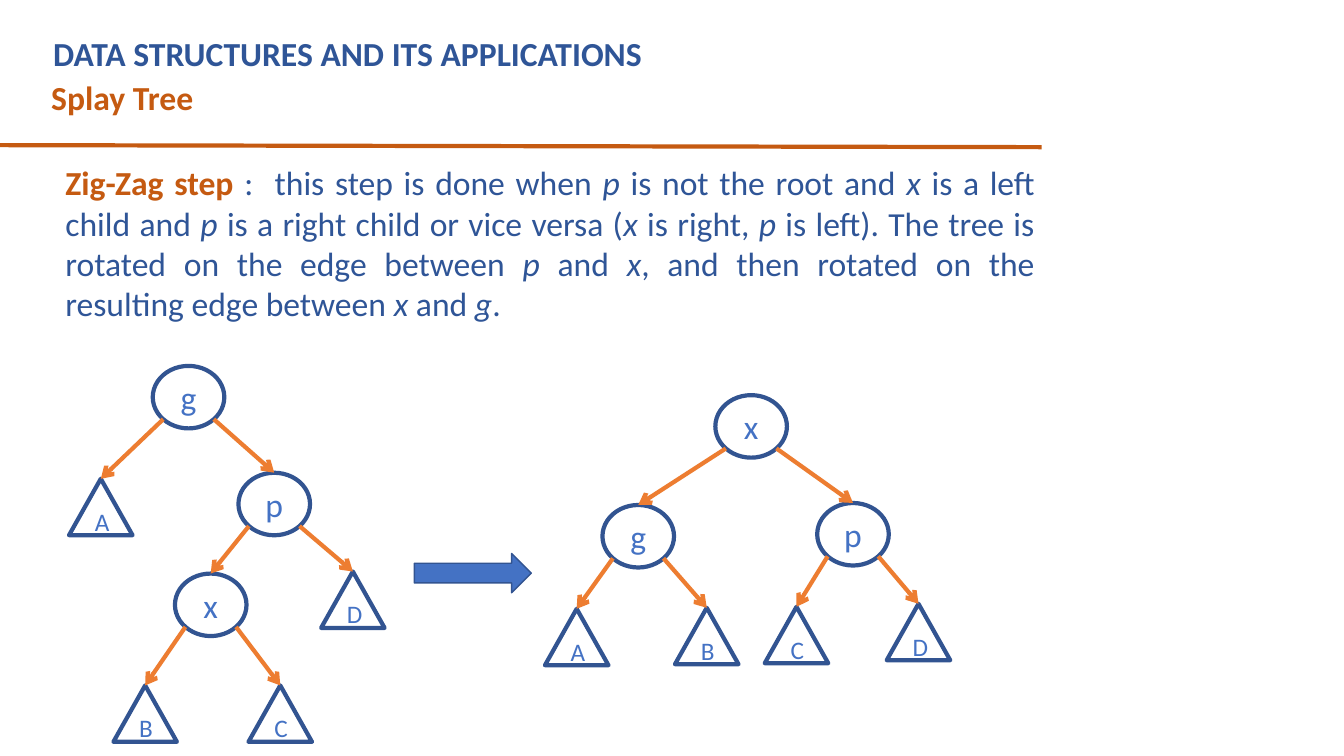
"""Build the splay tree zig-zag step slide."""
from lxml import etree
from pptx import Presentation
from pptx import util as u
from pptx.dml.color import RGBColor
from pptx.enum import shapes, text
from pptx.oxml.ns import qn

W, H = 13.33, 7.5
FONT = "Calibri"
COLORS = {"navy": "2F5597", "rust": "C55A11", "outline": "325491",
          "blue": "4472C4", "orange": "ED7D31"}

HEADINGS = [
    ("DATA STRUCTURES AND ITS APPLICATIONS", "navy", (0.43, 0.28, 8.2, 0.5)),
    ("Splay Tree", "rust", (0.41, 0.71, 8.75, 0.5)),
]
STEP_BOX = (0.55, 1.6, 9.81, 1.62)
STEP_NAME = "Zig-Zag step "
STEP_TEXT = [
    ":  this step is done when ", "p", " is not the root and ", "x",
    " is a left child and ", "p", " is a right child or vice versa (", "x",
    " is right, ", "p", " is left). The tree is rotated on the edge between ",
    "p", " and ", "x", ", and then rotated on the resulting edge between ",
    "x", " and ", "g", ".",
]
RULE = (-0.01, 1.44, 10.33, 1.46)
ROTATE_ARROW = (4.11, 5.49, 1.16, 0.39)

# Each node is (label, centre x, top, children).
BEFORE = ("g", 1.87, 3.63, [
    ("A", 1.0, 4.75, []),
    ("p", 2.72, 4.69, [
        ("x", 2.09, 5.69, [("B", 1.44, 6.8, []), ("C", 2.78, 6.8, [])]),
        ("D", 3.5, 5.67, [])])])
AFTER = ("x", 7.45, 3.92, [
    ("g", 6.33, 5.01, [("A", 5.72, 6.04, []), ("B", 7.01, 6.03, [])]),
    ("p", 8.46, 4.99, [("C", 7.9, 6.02, []), ("D", 9.11, 5.99, [])])])
NODE = (shapes.MSO_SHAPE.OVAL, 0.71, 0.62, 24)
LEAF = (shapes.MSO_SHAPE.ISOSCELES_TRIANGLE, 0.63, 0.56, 18)
DIAGONAL = 0.5 ** 0.5


def inches(values):
    return [u.Inches(v) for v in values]


def rgb(name):
    return RGBColor.from_string(COLORS[name])


def style_run(r, color, size=24, bold=False, italic=False):
    r.font.name, r.font.size = FONT, u.Pt(size)
    r.font.bold, r.font.italic = bold, italic
    r.font.color.rgb = rgb(color)


def add_text_box(parent, box):
    tf = parent.add_textbox(*inches(box)).text_frame
    tf.word_wrap = True
    tf.auto_size = text.MSO_AUTO_SIZE.SHAPE_TO_FIT_TEXT
    return tf


def add_line(parent, ends, color, arrow=False):
    line = parent.add_connector(shapes.MSO_CONNECTOR.STRAIGHT, *inches(ends))
    line.line.color.rgb = rgb(color)
    line.line.width = u.Pt(3)
    if arrow:
        etree.SubElement(line.line._get_or_add_ln(), qn("a:tailEnd"), type="arrow")
    etree.SubElement(line._element.spPr, qn("a:effectLst"))
    return line


def add_tree(parent, tree):
    label, cx, top, children = tree
    kind, width, height, size = NODE if children else LEAF
    sp = parent.add_shape(kind, *inches((cx - width / 2, top, width, height)))
    sp.shadow.inherit = False
    sp.fill.background()
    sp.line.color.rgb = rgb("outline")
    sp.line.width = u.Pt(3)
    tf = sp.text_frame
    tf.text = label
    tf.vertical_anchor = text.MSO_ANCHOR.MIDDLE
    p = tf.paragraphs[0]
    p.alignment = text.PP_ALIGN.CENTER
    style_run(p.runs[0], "blue", size)
    for side, child in zip((-1, 1), children):
        child_sp = add_tree(parent, child)
        start = (cx + side * DIAGONAL * width / 2, top + (1 + DIAGONAL) * height / 2)
        edge = add_line(parent, (*start, child[1], child[2]), "orange", True)
        edge.end_connect(child_sp, 0)
    return sp


def main():
    prs = Presentation()
    prs.slide_width, prs.slide_height = inches((W, H))
    s = prs.slides.add_slide(prs.slide_layouts[6])

    for heading, color, box in HEADINGS:
        tf = add_text_box(s.shapes, box)
        tf.text = heading
        style_run(tf.paragraphs[0].runs[0], color, bold=True)
    add_line(s.shapes, RULE, "rust")

    tf = add_text_box(s.shapes, STEP_BOX)
    tf.margin_top = tf.margin_bottom = 0
    tf.vertical_anchor = text.MSO_ANCHOR.MIDDLE
    p = tf.paragraphs[0]
    p.alignment = text.PP_ALIGN.JUSTIFY
    p.space_after = u.Pt(6)
    r = p.add_run()
    r.text = STEP_NAME
    style_run(r, "rust", bold=True)
    for i, part in enumerate(STEP_TEXT):
        r = p.add_run()
        r.text = part
        style_run(r, "navy", italic=i % 2 == 1)

    sp = s.shapes.add_shape(shapes.MSO_SHAPE.RIGHT_ARROW, *inches(ROTATE_ARROW))
    sp.shadow.inherit = False
    sp.fill.solid()
    sp.fill.fore_color.rgb = rgb("blue")
    sp.line.color.rgb = rgb("outline")
    sp.line.width = u.Pt(1)

    for tree in (BEFORE, AFTER):
        add_tree(s.shapes.add_group_shape().shapes, tree)
    prs.save("out.pptx")


if __name__ == "__main__":
    main()
